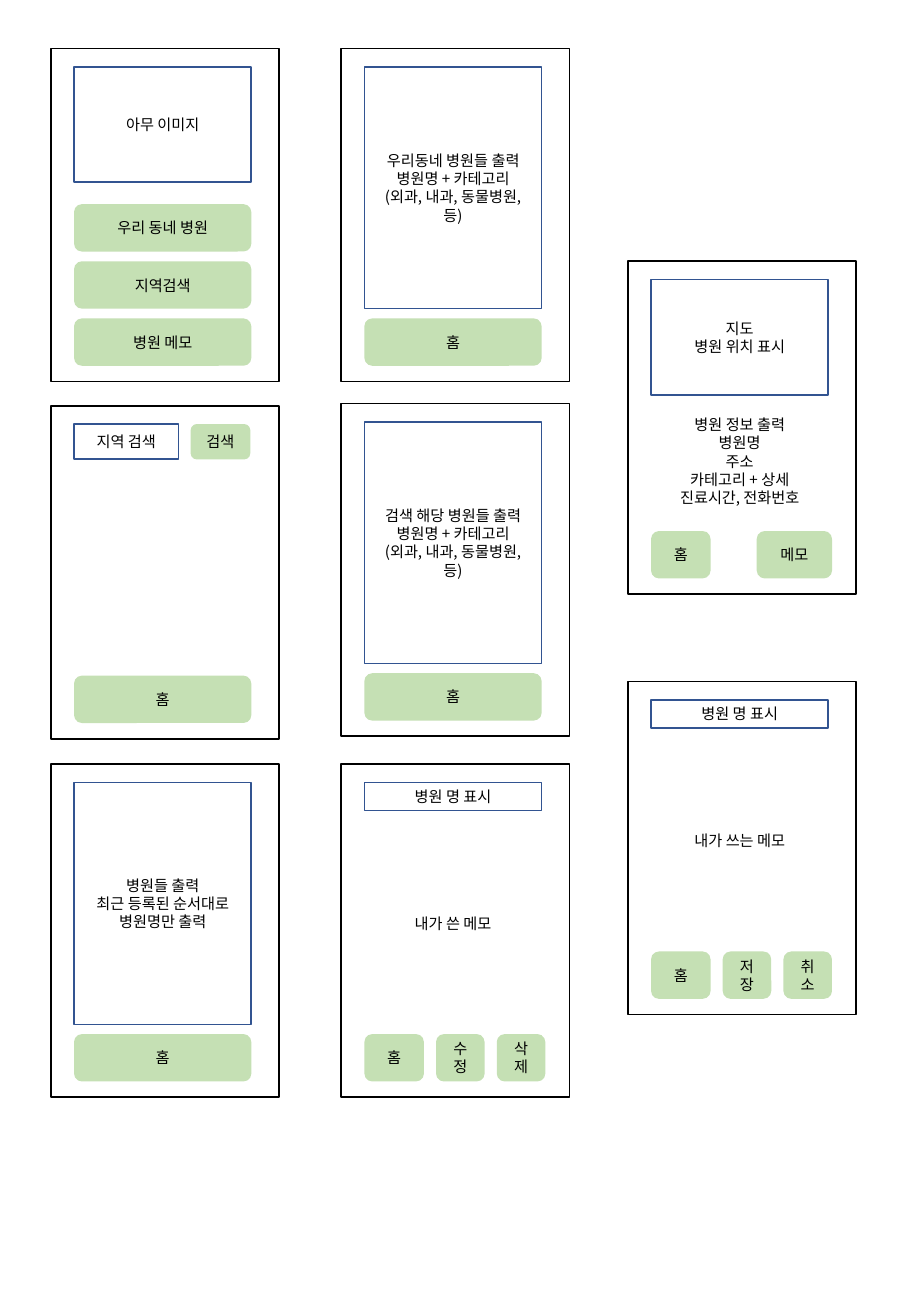
from lxml import etree
from pptx import Presentation
from pptx.dml.color import RGBColor
from pptx.enum import shapes, text
from pptx.oxml.ns import qn
from pptx.util import Inches, Pt

BLACK = RGBColor(0x00, 0x00, 0x00)
BLUE = RGBColor(0x32, 0x54, 0x91)
GREEN = RGBColor(0xC5, 0xE0, 0xB4)
FONT = "Noto Sans CJK KR"

LEFT, MIDDLE, RIGHT = 0.42, 2.81, 5.17  # screen columns
SCREEN_W, SCREEN_H = 1.88, 2.74
PAD_X, PAD_Y = 0.19, 0.15
INNER_W = 1.46
BUTTON_H, BUTTON_Y, BUTTON_STEP = 0.39, 2.22, 0.47
HOME_W, SMALL_W = 0.49, 0.4
IMAGE_H, LIST_H, TITLE_H, SEARCH_H = 0.95, 1.99, 0.23, 0.29


class Wireframe:
    """Draws app screens; element positions are relative to the current screen."""

    def __init__(self, slide):
        self.slide = slide
        self.font = {"size": Pt(9), "name": FONT}

    def screen(self, left, top):
        self.left, self.top = left, top
        self.group = self.slide.shapes.add_group_shape()
        self.outlined(0, 0, SCREEN_W, SCREEN_H, color=BLACK)

    def place(self, x, y, w, h):
        return [Inches(v) for v in (self.left + x, self.top + y, w, h)]

    def set_text(self, sp, words):
        tf = sp.text_frame
        tf.word_wrap = True
        tf.vertical_anchor = text.MSO_ANCHOR.MIDDLE
        tf.text = words
        for p in tf.paragraphs:
            p.alignment = text.PP_ALIGN.CENTER
            for r in p.runs:
                for key, value in self.font.items():
                    setattr(r.font, key, value)
                r.font.color.rgb = BLACK
                ea = etree.SubElement(r._r.get_or_add_rPr(), qn("a:ea"))
                ea.set("typeface", FONT)

    def outlined(self, x, y, w, h, words="", color=BLUE):
        sp = self.group.shapes.add_shape(
            shapes.MSO_SHAPE.RECTANGLE, *self.place(x, y, w, h))
        sp.shadow.inherit = False
        sp.fill.background()
        sp.line.color.rgb = color
        sp.line.width = Pt(1)
        if words:
            self.set_text(sp, words)

    def panel(self, h, words):
        self.outlined(PAD_X, PAD_Y, INNER_W, h, words)

    def button(self, words, x=PAD_X, y=BUTTON_Y, w=INNER_W, h=BUTTON_H):
        sp = self.group.shapes.add_shape(
            shapes.MSO_SHAPE.ROUNDED_RECTANGLE, *self.place(x, y, w, h))
        sp.shadow.inherit = False
        sp.fill.solid()
        sp.fill.fore_color.rgb = GREEN
        sp.line.fill.background()
        self.set_text(sp, words)

    def label(self, y, h, words):
        sp = self.group.shapes.add_textbox(*self.place(PAD_X, y, INNER_W, h))
        self.set_text(sp, words)

    def list_screen(self, left, top, words):
        self.screen(left, top)
        self.button("홈")
        self.panel(LIST_H, words)

    def memo_screen(self, left, top, words, actions):
        self.screen(left, top)
        self.panel(TITLE_H, "병원 명 표시")
        self.button("홈", w=HOME_W)
        for i, action in enumerate(actions):
            self.button(action, x=0.78 + 0.5 * i, w=SMALL_W)
        self.label(0.44, 1.74, words)


def main():
    prs = Presentation()
    prs.slide_width, prs.slide_height = Inches(7.5), Inches(10.83)
    s = Wireframe(prs.slides.add_slide(prs.slide_layouts[6]))
    details = "\n병원명 + 카테고리\n(외과, 내과, 동물병원, 등)"

    # Start screen
    s.screen(LEFT, 0.4)
    s.panel(IMAGE_H, "아무 이미지")
    for i, words in enumerate(["우리 동네 병원", "지역검색", "병원 메모"]):
        s.button(words, y=BUTTON_Y - BUTTON_STEP * (2 - i))

    s.list_screen(MIDDLE, 0.4, "우리동네 병원들 출력" + details)

    # Hospital details
    s.screen(RIGHT, 2.15)
    s.panel(IMAGE_H, "지도\n병원 위치 표시")
    s.button("메모", x=1.06, w=0.62)
    s.button("홈", w=HOME_W)
    s.label(1.15, 0.99,
            "병원 정보 출력\n병원명\n주소\n카테고리 + 상세\n진료시간, 전화번호")

    s.memo_screen(RIGHT, 5.61, "내가 쓰는 메모", ["저장", "취소"])

    # Area search
    s.screen(LEFT, 3.34)
    s.button("홈")
    s.outlined(PAD_X, PAD_Y, 0.86, SEARCH_H, "지역 검색")
    s.button("검색", x=1.15, y=PAD_Y, w=HOME_W, h=SEARCH_H)

    s.list_screen(MIDDLE, 3.32, "검색 해당 병원들 출력" + details)
    s.list_screen(LEFT, 6.29, "병원들 출력\n최근 등록된 순서대로 병원명만 출력")
    s.memo_screen(MIDDLE, 6.29, "내가 쓴 메모", ["수정", "삭제"])

    prs.save("out.pptx")


if __name__ == "__main__":
    main()
